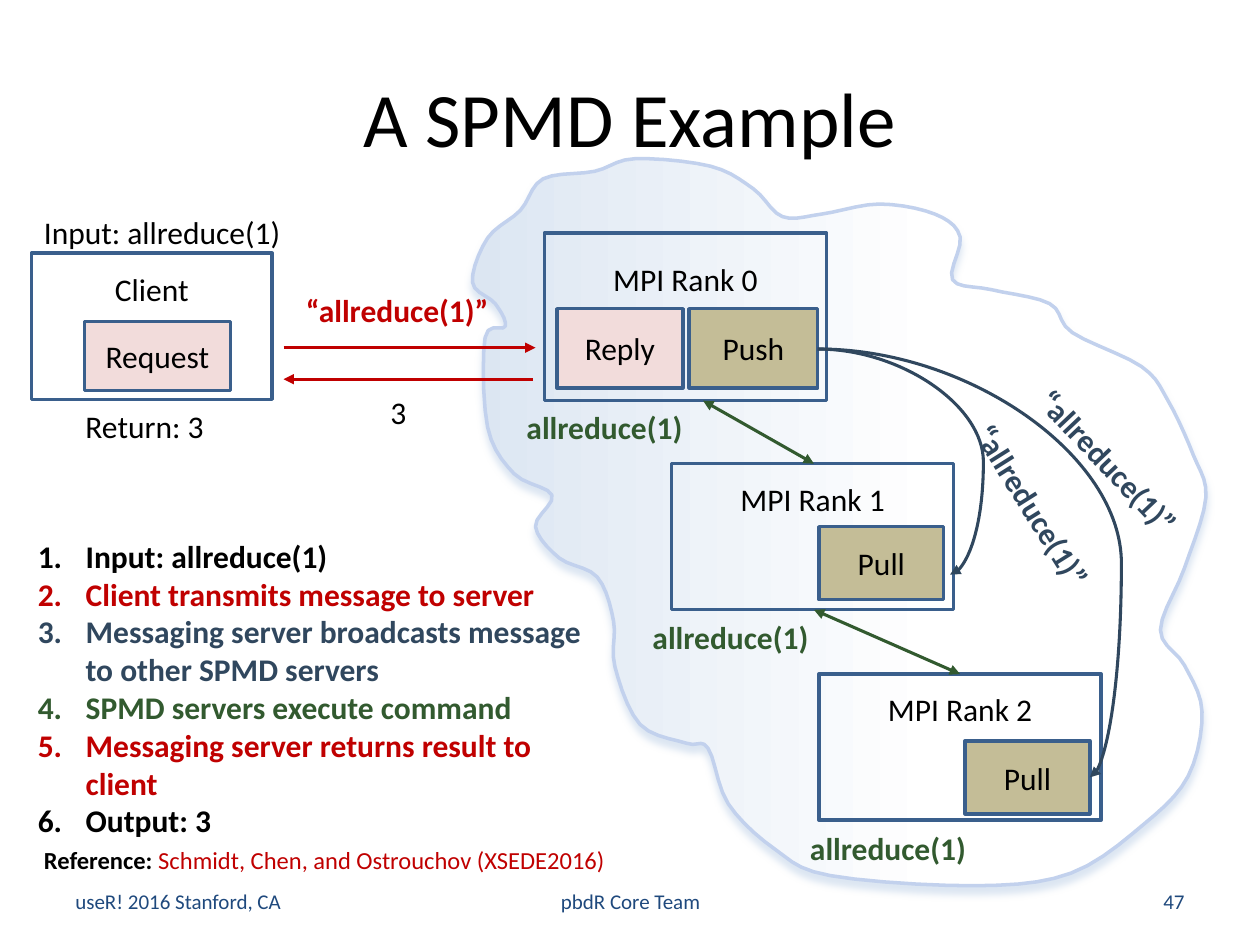
"""Build the slide that walks through an allreduce call on SPMD servers."""
from lxml import etree
from pptx import Presentation
from pptx.dml.color import RGBColor
from pptx.enum.shapes import MSO_CONNECTOR, MSO_SHAPE
from pptx.enum.text import MSO_ANCHOR, MSO_AUTO_SIZE, PP_ALIGN
from pptx.oxml.ns import qn
from pptx.util import Inches, Pt

LEFT, CENTER, RIGHT = PP_ALIGN.LEFT, PP_ALIGN.CENTER, PP_ALIGN.RIGHT
TOP, MIDDLE = MSO_ANCHOR.TOP, MSO_ANCHOR.MIDDLE
STRAIGHT, CURVE = MSO_CONNECTOR.STRAIGHT, MSO_CONNECTOR.CURVE
RECTANGLE, NO_AUTOFIT = MSO_SHAPE.RECTANGLE, MSO_AUTO_SIZE.NONE

THEME = {
    "font": "Calibri", "title": 44, "body": 18, "reference": 14, "footer": 12,
    "text": "000000", "message": "C00000", "broadcast": "30475E", "execute": "325A2F",
    "edge": "3A5F8C", "reply": "F2DCDB", "queue": "C4BD97", "footer_text": "1F497D",
    "cloud": "DCE6F2", "cloud_edge": "C2D1ED", "clear": "FFFFFF",
    "edge_width": 2, "arrow_width": 1.75,
}
COLOUR = {key: RGBColor.from_string(value) for key, value in THEME.items()
          if isinstance(value, str) and key != "font"}

deck = Presentation()
deck.slide_width, deck.slide_height = Inches(10), Inches(7.5)
COLUMN, ROW = deck.slide_width / 10, deck.slide_height / 7.5
LINE_ROWS, LABEL_ROWS = 0.3, 0.4
slide = deck.slides.add_slide(deck.slide_layouts[1])
shapes = slide.shapes


def cells(*grid):
    """Turn alternating columns and rows into slide lengths."""
    return [round(n * (ROW if i % 2 else COLUMN)) for i, n in enumerate(grid)]


def write(frame, paragraphs, size="body", align=LEFT, anchor=TOP):
    """Fill a frame with paragraphs of (text, colour, bold) runs."""
    layout = {"word_wrap": True, "auto_size": NO_AUTOFIT, "vertical_anchor": anchor}
    for key, value in layout.items():
        setattr(frame, key, value)
    for i, runs in enumerate(paragraphs):
        paragraph = frame.add_paragraph() if i else frame.paragraphs[0]
        paragraph.alignment = align
        for text, colour, bold in runs:
            run = paragraph.add_run()
            run.text = text
            look = {"name": THEME["font"], "size": Pt(THEME[size]), "bold": bold}
            for key, value in look.items():
                setattr(run.font, key, value)
            run.font.color.rgb = COLOUR[colour]


bumps = [
    (3.87, 1.89), (4.13, 1.67), (4.31, 1.42), (4.72, 1.36), (5.04, 1.26), (5.64, 1.32),
    (5.98, 1.5), (6.21, 1.72), (6.52, 1.7), (6.98, 1.62), (7.42, 1.7), (7.62, 1.88),
    (7.56, 2.22), (7.87, 2.3), (8.33, 2.41), (8.51, 2.64), (9.06, 2.91), (9.27, 3.18),
    (9.47, 3.61), (9.57, 3.95), (9.4, 4.51), (9.21, 5), (9.4, 5.28), (9.54, 5.65),
    (9.43, 6.16), (9.08, 6.54), (8.5, 6.93), (7.74, 7.03), (6.59, 6.95), (6.15, 6.74),
    (5.78, 6.38), (5.62, 5.94), (5.45, 5.9), (5.08, 5.75), (4.88, 5.29), (4.87, 4.93),
    (4.74, 4.58), (4.44, 4.43), (4.25, 4.18), (4.38, 3.93), (4.08, 3.76), (3.87, 3.39),
    (3.85, 2.68), (4.01, 2.59), (3.93, 2.41), (3.75, 2.24),
]
STEPS = 5
outline = []
for i, start in enumerate(bumps):
    before, after, beyond = (bumps[(i + k) % len(bumps)] for k in (-1, 1, 2))
    for t in (step / STEPS for step in range(STEPS)):
        outline.append(cells(*(
            b + t * (c - a + t * (2 * a - 5 * b + 4 * c - d + t * (3 * (b - c) + d - a))) / 2
            for a, b, c, d in zip(before, start, after, beyond))))
builder = shapes.build_freeform(*outline[0])
builder.add_line_segments(outline[1:], close=True)
server_cloud = builder.convert_to_shape()
server_cloud.fill.gradient()
server_cloud.fill.gradient_angle = 180
for stop, position, colour in zip(server_cloud.fill.gradient_stops, (0.37, 1), ("clear", "cloud")):
    stop.position = position
    stop.color.rgb = COLOUR[colour]
server_cloud.line.color.rgb = COLOUR["cloud_edge"]
server_cloud.line.width = Pt(THEME["edge_width"])
server_cloud.shadow.inherit = False
glow = etree.SubElement(server_cloud.element.spPr.find(qn("a:effectLst")), qn("a:outerShdw"),
                        blurRad=str(Pt(4)), dist=str(Pt(4)), dir="5400000", rotWithShape="0")
etree.SubElement(glow, qn("a:srgbClr"), val=THEME["cloud"])
shapes.element.insert(2, server_cloud.element)

processes = [
    ("Client", (0.25, 2.01, 1.91, 1.16), [("Request", "reply", (0.67, 2.55, 1.16, 0.55))]),
    ("MPI Rank 0", (4.32, 1.85, 2.24, 1.33), [("Reply", "reply", (4.42, 2.45, 1, 0.63)),
                                              ("Push", "queue", (5.47, 2.45, 1.02, 0.63))]),
    ("MPI Rank 1", (5.33, 3.68, 2.24, 1.16), [("Pull", "queue", (6.5, 4.18, 0.99, 0.58))]),
    ("MPI Rank 2", (6.5, 5.35, 2.24, 1.16), [("Pull", "queue", (7.66, 5.88, 0.99, 0.58))]),
]
for process, area, sockets in processes:
    for label, fill, grid in [(process, None, area)] + sockets:
        node = shapes.add_shape(RECTANGLE, *cells(*grid))
        node.shadow.inherit = False
        node.line.color.rgb = COLOUR["edge"]
        node.line.width = Pt(THEME["edge_width"])
        if fill:
            node.fill.solid()
            node.fill.fore_color.rgb = COLOUR[fill]
        else:
            node.fill.background()
            node.text_frame.margin_top = round((grid[3] - 3 * LINE_ROWS) / 2 * ROW)
        write(node.text_frame, [[(label, "text", False)]], align=CENTER,
              anchor=MIDDLE if fill else TOP)

flows = [
    (STRAIGHT, (2.25, 2.76, 4.25, 2.76), "message", ["tailEnd"], None),
    (STRAIGHT, (4.23, 3.01, 2.25, 3.01), "message", ["tailEnd"], None),
    (STRAIGHT, (5.58, 3.18, 6.46, 3.68), "execute", ["headEnd", "tailEnd"], None),
    (STRAIGHT, (6.46, 4.84, 7.62, 5.35), "execute", ["headEnd", "tailEnd"], None),
    (CURVE, (6.49, 2.77, 7.54, 4.56), "broadcast", ["tailEnd"], 125200),
    (CURVE, (6.49, 2.77, 8.65, 6.17), "broadcast", ["tailEnd"], 111600),
]
for kind, grid, colour, ends, bend in flows:
    flow = shapes.add_connector(kind, *cells(*grid))
    flow.line.color.rgb = COLOUR[colour]
    flow.line.width = Pt(THEME["arrow_width"])
    properties = flow.element.spPr
    for end in ends:
        etree.SubElement(properties.find(qn("a:ln")), qn("a:" + end), type="triangle")
    if bend:
        guides = properties.find(qn("a:prstGeom")).find(qn("a:avLst"))
        etree.SubElement(guides, qn("a:gd"), name="adj1", fmla=f"val {bend}")
    etree.SubElement(properties, qn("a:effectLst"))

labels = [
    ("Input: allreduce(1)", (0.25, 1.64, 2.59), "text", False, 0),
    ("Return: 3", (0.58, 3.18, 1.58), "text", False, 0),
    ("3", (3, 3.07, 1.58), "text", False, 0),
    ("“allreduce(1)”", (2.33, 2.26, 1.79), "message", True, 0),
    ("“allreduce(1)”", (7.95, 3.52, 1.8), "broadcast", True, 46.6),
    ("“allreduce(1)”", (7.34, 3.87, 1.78), "broadcast", True, 57.9),
    ("allreduce(1)", (4.08, 3.19, 1.58), "execute", True, 0),
    ("allreduce(1)", (5.08, 4.86, 1.58), "execute", True, 0),
    ("allreduce(1)", (6.33, 6.53, 1.58), "execute", True, 0),
]
for text, grid, colour, bold, angle in labels:
    label = shapes.add_textbox(*cells(*grid, LABEL_ROWS))
    label.rotation = angle
    write(label.text_frame, [[(text, colour, bold)]])

title, steps = shapes.title, slide.placeholders[1]
for holder, grid in ((title, (0.5, 0.3, 9, 1.25)), (steps, (0.2, 4.21, 4.69, 2.52))):
    holder.left, holder.top, holder.width, holder.height = cells(*grid)
write(title.text_frame, [[("A SPMD Example", "text", False)]], "title", CENTER, MIDDLE)
write(steps.text_frame, [[(text, colour, True)] for text, colour in (
    ("Input: allreduce(1)", "text"),
    ("Client transmits message to server", "message"),
    ("Messaging server broadcasts message to other SPMD servers", "broadcast"),
    ("SPMD servers execute command", "execute"),
    ("Messaging server returns result to client", "message"),
    ("Output: 3", "text"),
)])
indent = round(0.38 * COLUMN)
for step in steps.text_frame.paragraphs:
    numbering = step._p.get_or_add_pPr()
    numbering.set("marL", str(indent))
    numbering.set("indent", str(-indent))
    etree.SubElement(numbering, qn("a:buFont"), typeface="+mj-lt")
    etree.SubElement(numbering, qn("a:buAutoNum"), type="arabicPeriod")
    step.space_before = Pt(0)

reference = shapes.add_textbox(*cells(0.25, 6.66, 6, 0.34))
write(reference.text_frame, [[("Reference:", "text", True),
                              (" Schmidt, Chen, and Ostrouchov (XSEDE2016)", "message", False)]],
      "reference")

for text, start, width, align in (
    ("useR! 2016 Stanford, CA", 0.5, 2.33, LEFT),
    ("pbdR Core Team", 3.42, 3.17, CENTER),
    ("47", 7.17, 2.33, RIGHT),
):
    footer = shapes.add_textbox(*cells(start, 6.95, width, LABEL_ROWS))
    write(footer.text_frame, [[(text, "footer_text", False)]], "footer", align, MIDDLE)

deck.save("out.pptx")
